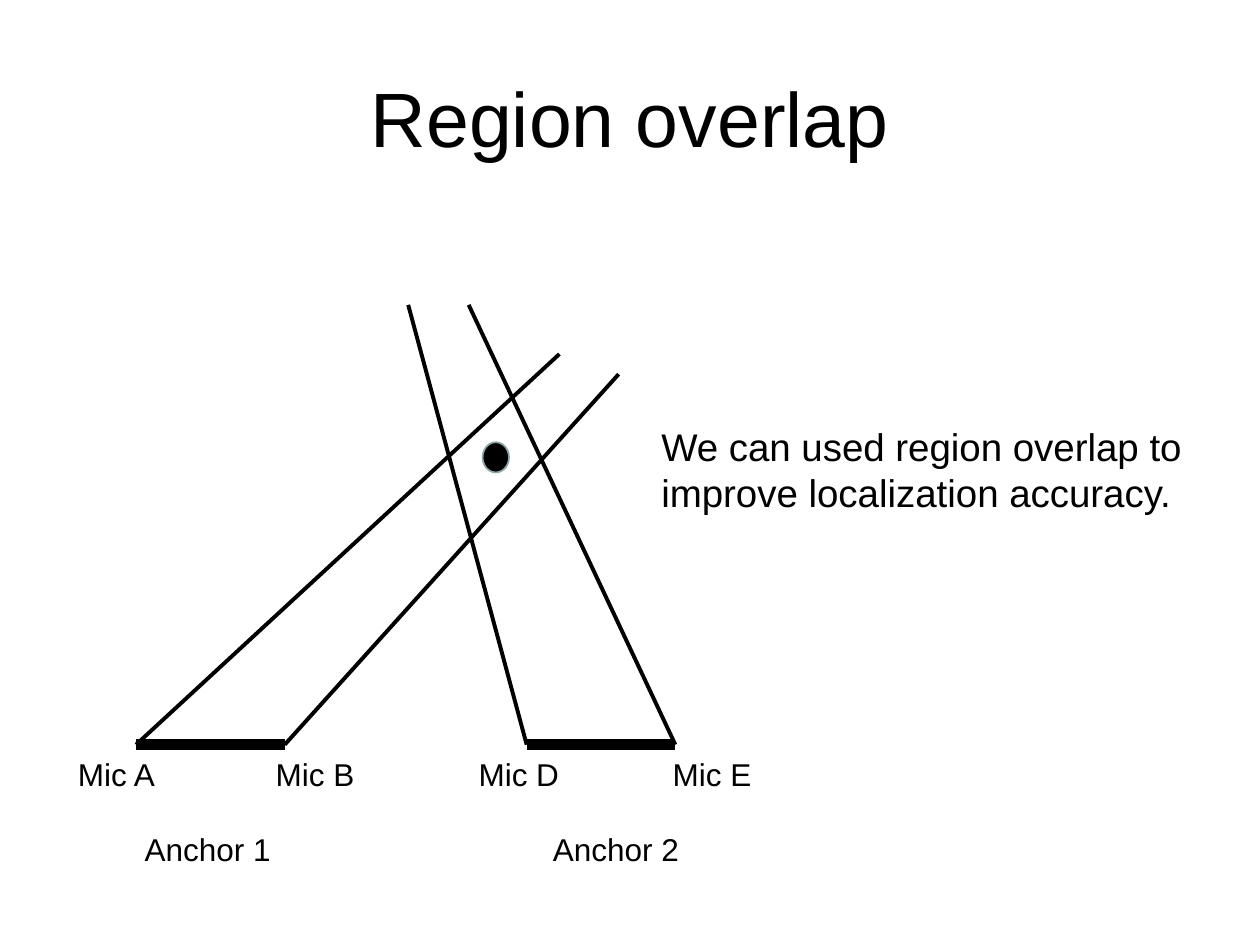
from lxml import etree
from pptx import Presentation
from pptx.dml.color import RGBColor
from pptx.enum.shapes import MSO_CONNECTOR, MSO_SHAPE
from pptx.enum.text import MSO_ANCHOR, MSO_AUTO_SIZE, PP_ALIGN
from pptx.oxml.ns import qn
from pptx.util import Inches, Pt

BLACK = RGBColor(0x00, 0x00, 0x00)
GREY_TEAL = RGBColor(0x8A, 0xA6, 0xA8)
FONT = "Arial"
BASELINE = 5.91
MIC_SPACING = 1.18
LABEL_HEIGHT = 0.4


def add_text(slide, text, box, size=18, align=PP_ALIGN.LEFT,
             anchor=MSO_ANCHOR.TOP, wrap=False, grow=True):
    """Place text in a box, one paragraph per line."""
    shape = slide.shapes.add_textbox(*map(Inches, box))
    frame = shape.text_frame
    frame.word_wrap = wrap
    frame.auto_size = MSO_AUTO_SIZE.SHAPE_TO_FIT_TEXT if grow else MSO_AUTO_SIZE.NONE
    frame.vertical_anchor = anchor
    frame.text = text
    for paragraph in frame.paragraphs:
        paragraph.alignment = align
        font = paragraph.runs[0].font
        font.name = FONT
        font.size = Pt(size)
        font.color.rgb = BLACK
    return shape


def add_line(slide, start, end, width=2.25):
    """Draw a straight black line between two points."""
    line = slide.shapes.add_connector(
        MSO_CONNECTOR.STRAIGHT, *map(Inches, (*start, *end)))
    line.line.color.rgb = BLACK
    line.line.width = Pt(width)
    etree.SubElement(line._element.spPr, qn("a:effectLst"))
    return line


def add_title(slide, box):
    """Place the centred slide title."""
    add_text(slide, "Region overlap", box, size=44, align=PP_ALIGN.CENTER,
             anchor=MSO_ANCHOR.MIDDLE, wrap=True, grow=False)


def add_anchor(slide, left, ray_ends, mic_labels, anchor_label):
    """Draw one microphone pair with its region borders and labels."""
    mics = [(left, BASELINE), (left + MIC_SPACING, BASELINE)]
    add_line(slide, *mics, width=6)
    for mic, ray_end in zip(mics, ray_ends):
        add_line(slide, mic, ray_end)
    for text, label_left, width in mic_labels:
        add_text(slide, text, (label_left, 5.94, width, LABEL_HEIGHT))
    text, label_left, width = anchor_label
    add_text(slide, text, (label_left, 6.54, width, LABEL_HEIGHT))


def add_source(slide, box):
    """Mark the sound source inside the overlap."""
    dot = slide.shapes.add_shape(MSO_SHAPE.FLOWCHART_CONNECTOR, *map(Inches, box))
    dot.shadow.inherit = False
    dot.fill.solid()
    dot.fill.fore_color.rgb = BLACK
    dot.line.color.rgb = GREY_TEAL
    dot.line.width = Pt(1)


def add_remark(slide, box):
    """Place the remark beside the diagram."""
    add_text(slide, "We can used region overlap to\nimprove localization accuracy.",
             box, size=22, wrap=True)


def main():
    """Build and save the presentation."""
    presentation = Presentation()
    presentation.slide_width = Inches(10)
    presentation.slide_height = Inches(7.5)
    slide = presentation.slides.add_slide(presentation.slide_layouts[6])
    add_title(slide, (0.5, 0.3, 9, 1.25))
    add_anchor(slide, 1.08, [(4.44, 2.81), (4.91, 2.97)],
               [("Mic A", 0.52, 0.82), ("Mic B", 2.09, 0.83)],
               ("Anchor 1", 1.05, 1.21))
    add_anchor(slide, 4.18, [(3.24, 2.42), (3.72, 2.42)],
               [("Mic D", 3.7, 0.85), ("Mic E", 5.24, 0.83)],
               ("Anchor 2", 4.29, 1.25))
    add_source(slide, (3.83, 3.51, 0.21, 0.24))
    add_remark(slide, (5.15, 3.31, 5.53, 0.84))
    presentation.save("out.pptx")


if __name__ == "__main__":
    main()
